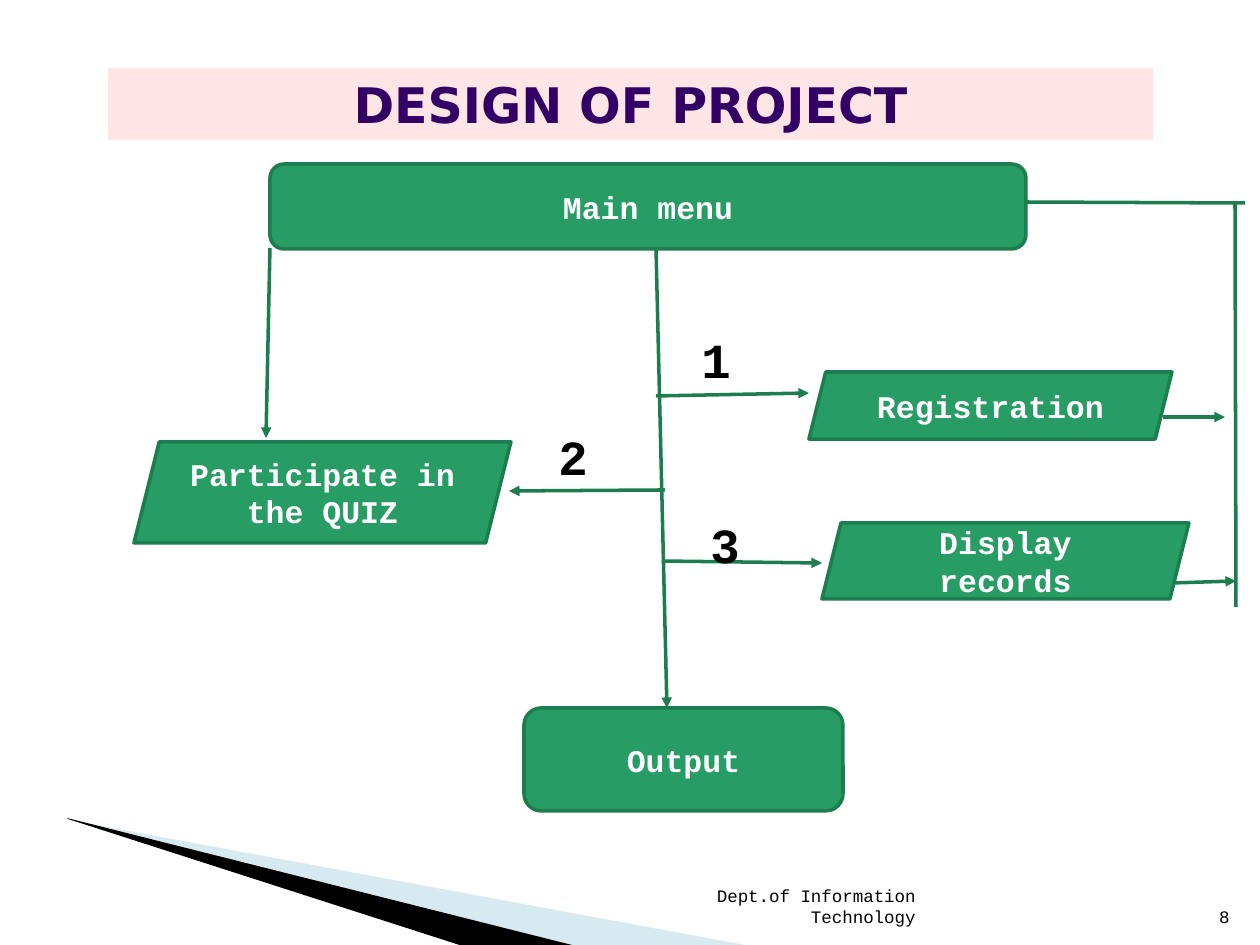
from dataclasses import dataclass

from lxml import etree
from pptx import Presentation
from pptx.dml.color import RGBColor
from pptx.enum.shapes import MSO_CONNECTOR, MSO_SHAPE
from pptx.enum.text import MSO_ANCHOR, MSO_AUTO_SIZE, PP_ALIGN
from pptx.oxml.ns import qn
from pptx.util import Pt

EMU_PER_PX = 914400 / 126
TITLE_ONLY = 5
ROUND, SLANTED = MSO_SHAPE.ROUNDED_RECTANGLE, MSO_SHAPE.PARALLELOGRAM
STRAIGHT = MSO_CONNECTOR.STRAIGHT
TOP, MIDDLE, BOTTOM = MSO_ANCHOR.TOP, MSO_ANCHOR.MIDDLE, MSO_ANCHOR.BOTTOM
LEFT, CENTER, RIGHT = PP_ALIGN.LEFT, PP_ALIGN.CENTER, PP_ALIGN.RIGHT


@dataclass(frozen=True)
class Theme:
    green: str = "279C64"
    dark_green: str = "1C7D4E"
    pink: str = "FFE5E5"
    purple: str = "330066"
    pale_blue: str = "9FCBDC"
    black: str = "000000"
    white: str = "FFFFFF"
    title_font: str = "DejaVu Sans"
    body_font: str = "Courier New"
    large: int = 28
    step: int = 18
    small: int = 10
    line: int = 2


THEME = Theme()

# Content: every box is (left, top, width, height) in px
TITLE = ("DESIGN OF PROJECT", (108, 68, 1045, 72))
STEPS = [
    ("Main menu", ROUND, (270, 164, 756, 85)),
    ("Registration", SLANTED, (809, 372, 363, 67)),
    ("Display records", SLANTED, (822, 523, 367, 76)),
    ("Participate in the QUIZ", SLANTED, (134, 442, 377, 101)),
    ("Output", ROUND, (524, 708, 319, 103)),
]
CHOICES = [
    ("1", (689, 323, 106, 72)),
    ("2", (546, 420, 84, 72)),
    ("3", (698, 508, 88, 72)),
]
FOOTERS = [
    ("Dept.of Information Technology", (604, 883, 324, 50)),
    ("8", (1192, 883, 50, 50)),
]
ARROWS = [
    ((270, 248), (266, 438)),    # menu to quiz
    ((656, 248), (667, 708)),    # menu to output
    ((656, 396), (809, 393)),    # choice 1
    ((665, 490), (509, 491)),    # choice 2
    ((662, 561), (822, 563)),    # choice 3
    ((1163, 417), (1225, 417)),  # registration to return line
    ((1172, 583), (1236, 581)),  # records to return line
]
RETURN_LINES = [((1235, 203), (1236, 607)), ((1026, 202), (1245, 203))]
# Corner wedges: points, colour, opacity in percent
WEDGES = [
    ([(69, 820), (750, 946), (575, 946), (69, 819)], THEME.pale_blue, 40),
    ([(67, 818), (576, 946), (469, 948), (68, 819)], THEME.black, 100),
]


def emu(*lengths):
    return [round(length * EMU_PER_PX) for length in lengths]


def paint(shape, color):
    shape.fill.solid()
    shape.fill.fore_color.rgb = RGBColor.from_string(color)


def write(shape, text, size, color, align, anchor, bold=True, font=THEME.body_font):
    frame = shape.text_frame
    frame.word_wrap = True
    frame.auto_size = MSO_AUTO_SIZE.NONE
    frame.vertical_anchor = anchor
    paragraph = frame.paragraphs[0]
    paragraph.alignment = align
    run = paragraph.add_run()
    run.text = text
    run.font.name, run.font.size, run.font.bold = font, Pt(size), bold
    run.font.color.rgb = RGBColor.from_string(color)


def add_wedge(slide, points, color, opacity):
    builder = slide.shapes.build_freeform(*points[0], scale=EMU_PER_PX)
    builder.add_line_segments(points[1:], close=True)
    wedge = builder.convert_to_shape()
    wedge.shadow.inherit = False
    wedge.line.fill.background()
    paint(wedge, color)
    if opacity < 100:
        fill_color = wedge._element.spPr.find(".//" + qn("a:srgbClr"))
        etree.SubElement(fill_color, qn("a:alpha"), val=str(opacity * 1000))


def add_line(slide, start, end, arrow):
    connector = slide.shapes.add_connector(STRAIGHT, *emu(*start, *end))
    connector.line.color.rgb = RGBColor.from_string(THEME.dark_green)
    connector.line.width = Pt(THEME.line)
    if arrow:
        etree.SubElement(connector.line._get_or_add_ln(), qn("a:tailEnd"), type="triangle")
    etree.SubElement(connector._element.spPr, qn("a:effectLst"))


def add_step(slide, text, outline, box):
    step = slide.shapes.add_shape(outline, *emu(*box))
    step.shadow.inherit = False
    paint(step, THEME.green)
    step.line.color.rgb = RGBColor.from_string(THEME.dark_green)
    step.line.width = Pt(THEME.line)
    write(step, text, THEME.step, THEME.white, CENTER, MIDDLE)


def main():
    deck = Presentation()
    deck.slide_width, deck.slide_height = emu(1260, 945)
    slide = deck.slides.add_slide(deck.slide_layouts[TITLE_ONLY])

    # Title band
    text, box = TITLE
    title = slide.shapes.title
    title.left, title.top, title.width, title.height = emu(*box)
    paint(title, THEME.pink)
    write(title, text, THEME.large, THEME.purple, CENTER, TOP, font=THEME.title_font)

    # Corner decoration
    for wedge in WEDGES:
        add_wedge(slide, *wedge)

    # Flow chart
    for start, end in ARROWS:
        add_line(slide, start, end, arrow=True)
    for start, end in RETURN_LINES:
        add_line(slide, start, end, arrow=False)
    for step in STEPS:
        add_step(slide, *step)

    # Choice numbers and footer
    for text, box in CHOICES:
        label = slide.shapes.add_textbox(*emu(*box))
        write(label, text, THEME.large, THEME.black, LEFT, TOP)
    for text, box in FOOTERS:
        footer = slide.shapes.add_textbox(*emu(*box))
        write(footer, text, THEME.small, THEME.black, RIGHT, BOTTOM, bold=False)

    deck.save("out.pptx")


if __name__ == "__main__":
    main()
